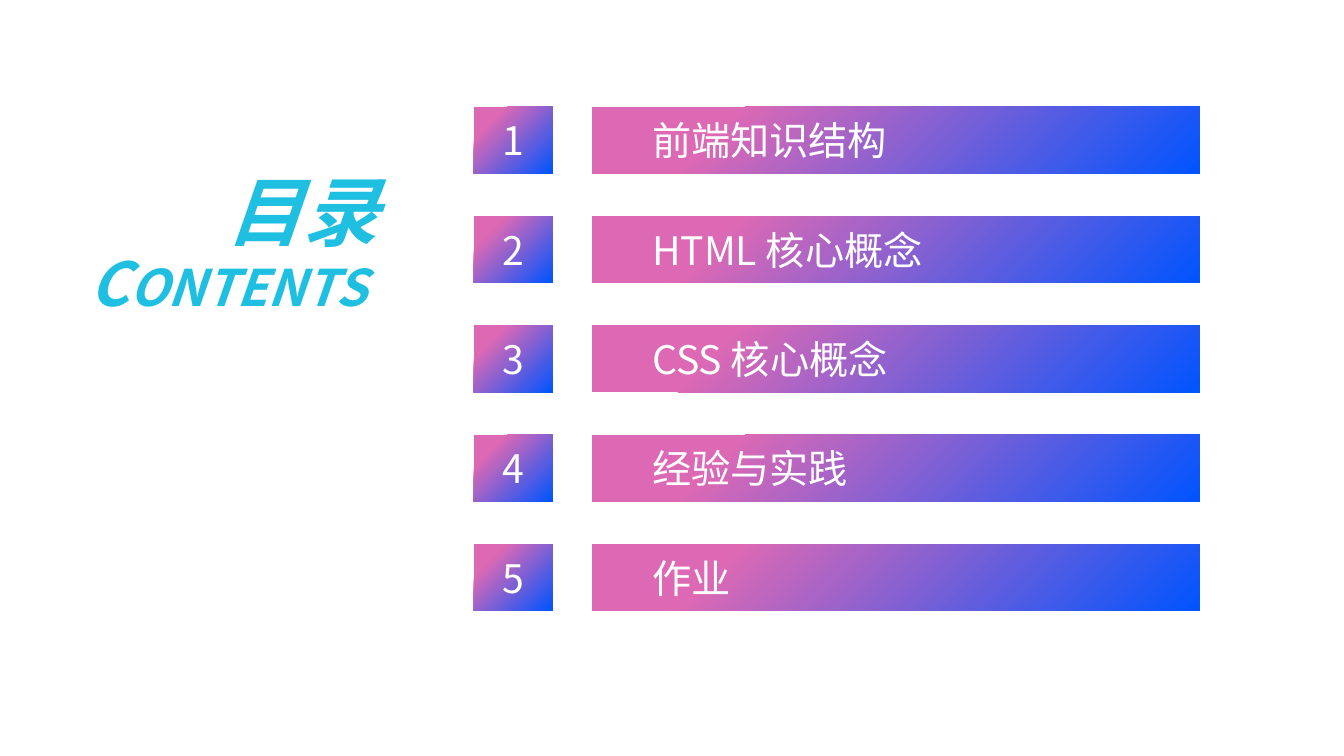
import pptx
import pptx.util
import pptx.dml.color
import pptx.enum.shapes
import pptx.enum.text
import pptx.oxml
import pptx.oxml.ns

Pt = pptx.util.Pt
Rgb = pptx.dml.color.RGBColor.from_string
Align = pptx.enum.text.PP_ALIGN
Anchor = pptx.enum.text.MSO_ANCHOR

theme = {
    "font": "Noto Sans CJK SC",
    "white": "FFFFFF",
    "bar": (("DD69B4", 0.22), ("0054FF", 1)),
    "title": (("1FBFE1", 0.25), ("0283CA", 0.58)),
    "sub": (("1FBFE1", 0.33), ("0283CA", 0.65)),
    "big": 54,
    "mid": 36,
    "item": 28,
}


def blend(fill, stops, angle):
    fill.gradient()
    fill.gradient_angle = angle
    for stop, (color, place) in zip(fill.gradient_stops, stops):
        stop.color.rgb = Rgb(color)
        stop.position = place


def style(run, size, stops=None):
    font = run.font
    font.size = Pt(size)
    if stops:
        font.bold = font.italic = True
        blend(font.fill, stops, 270)
    else:
        font.color.rgb = Rgb(theme["white"])
    font.name = theme["font"]
    east = pptx.oxml.parse_xml(
        f'<a:ea {pptx.oxml.ns.nsdecls("a")} typeface="{theme["font"]}"/>')
    run._r.get_or_add_rPr().append(east)


deck = pptx.Presentation()
deck.slide_width, deck.slide_height = Pt(960), Pt(540)
slide = deck.slides.add_slide(deck.slide_layouts[5])
shapes = slide.shapes

title = shapes.title
title.left, title.top, title.width, title.height = Pt(150.5), Pt(114.5), Pt(131), Pt(72.7)
sub = shapes.add_textbox(Pt(-24.5), Pt(161.3), Pt(375), Pt(72.7))
title.text_frame.text = "目录"
sub.text_frame.text = "c"
sub.text_frame.paragraphs[0].add_run().text = "ONTENTS"

for box, sizes, stops in (
    (title, [theme["big"]], theme["title"]),
    (sub, [theme["big"], theme["mid"]], theme["sub"]),
):
    frame = box.text_frame
    frame.word_wrap = True
    frame.auto_size = pptx.enum.text.MSO_AUTO_SIZE.SHAPE_TO_FIT_TEXT
    frame.vertical_anchor = Anchor.TOP
    para = frame.paragraphs[0]
    para.alignment = Align.CENTER
    for run, size in zip(para.runs, sizes):
        style(run, size, stops)
sub.text_frame.paragraphs[0].runs[0]._r.get_or_add_rPr().set("cap", "small")

items = ["前端知识结构", "HTML 核心概念", "CSS 核心概念", "经验与实践", "作业"]
for row, item in enumerate(items):
    for text, left, width, align in (
        (item, 422.6, 434.2, Align.LEFT),
        (str(row + 1), 338.4, 56.2, Align.CENTER),
    ):
        bar = shapes.add_shape(
            pptx.enum.shapes.MSO_SHAPE.PARALLELOGRAM,
            Pt(left), Pt(76.3 + 78.1 * row), Pt(width), Pt(47.7))
        bar.adjustments[0] = 0
        bar.shadow.inherit = False
        bar.line.fill.background()
        blend(bar.fill, theme["bar"], 315)
        frame = bar.text_frame
        frame.text = text
        frame.word_wrap = True
        frame.vertical_anchor = Anchor.MIDDLE
        para = frame.paragraphs[0]
        para.alignment = align
        style(para.runs[0], theme["item"])

deck.save("out.pptx")
